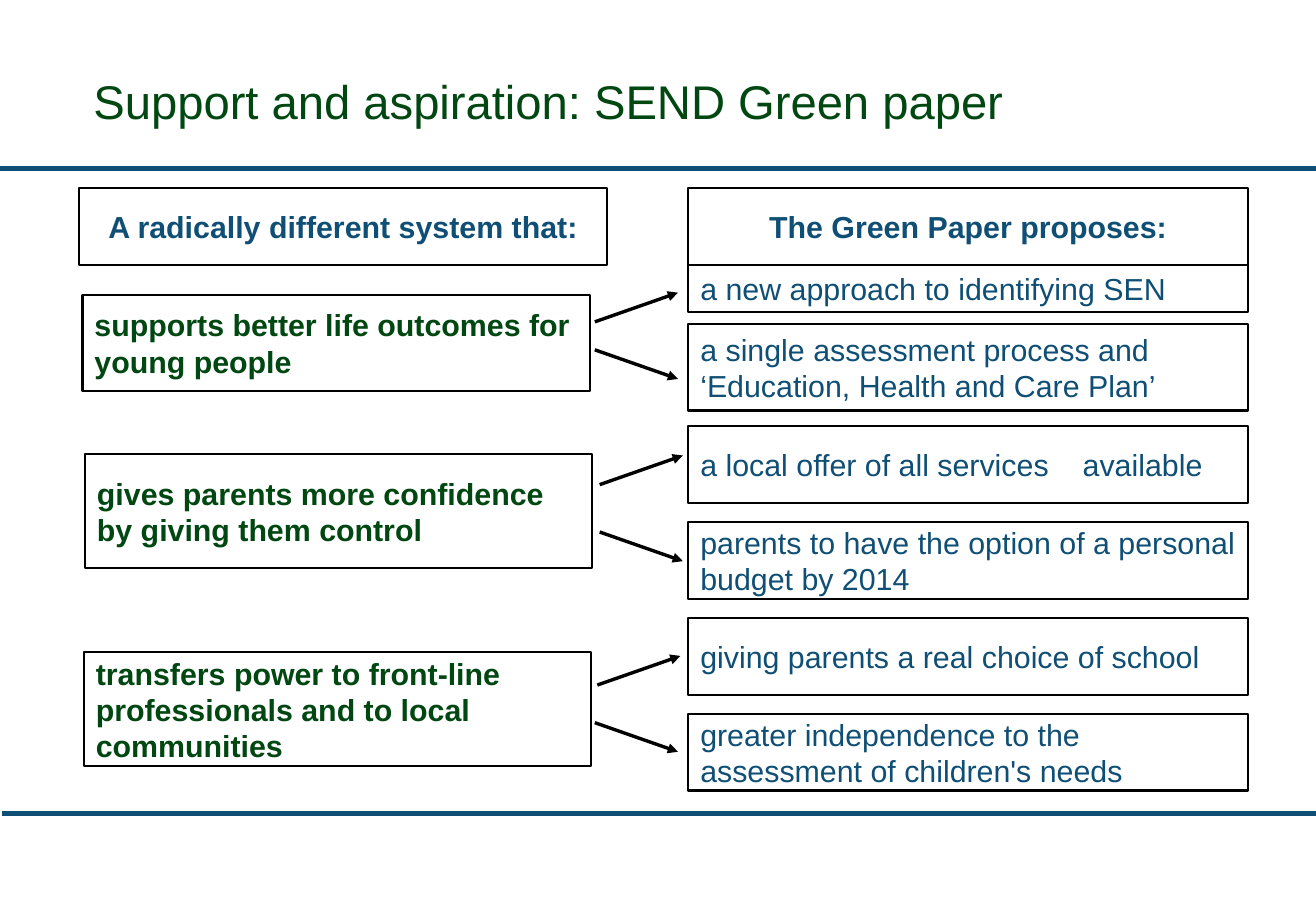
from lxml.etree import SubElement
from pptx import Presentation
from pptx.dml.color import RGBColor
from pptx.enum.shapes import MSO_CONNECTOR as Connector, MSO_SHAPE as Preset
from pptx.enum.text import MSO_ANCHOR as Anchor, MSO_AUTO_SIZE as AutoSize, PP_ALIGN as Align
from pptx.oxml.ns import qn
from pptx.util import Inches, Pt

WIDTH, HEIGHT = Inches(10.84), Inches(7.5)
COLORS = {"green": "004712", "blue": "104F75", "black": "000000"}
TITLE_FORMAT = {"name": "Arial", "size": Pt(28), "bold": False}
BODY_FORMAT = {"name": "Arial", "size": Pt(18), "bold": False}
STRONG_FORMAT = BODY_FORMAT | {"bold": True}

AIM_WIDTH, PROPOSAL_LEFT, PROPOSAL_WIDTH = 38.56, 52.31, 42.53
HEADING_TOP, ROW_HEIGHT, ROW_PITCH = 20.67, 8.4, 10.53
LOWER_TOP = 46.8
ARROW_WIDTH, ARROW_RISE = 6.32, 3.2

HEADINGS = [
    ("A radically different system that:", 6, 40.13),
    ("The Green Paper proposes:", PROPOSAL_LEFT, PROPOSAL_WIDTH),
]
AIMS = [
    ("supports better life outcomes for young people", 6.27, 32.4, 10.53),
    ("gives parents more confidence by giving them control", 6.46, 49.87, 12.53),
    ("transfers power to front-line professionals and to local communities", 6.37, 71.6, 12.53),
]
UPPER_PROPOSALS = [
    ("a new approach to identifying SEN", 29.07, 5.2),
    ("a single assessment process and ‘Education, Health and Care Plan’", 35.6, 9.47),
]
LOWER_PROPOSALS = [
    "a local offer of all services\tavailable",
    "parents to have the option of a personal budget by 2014",
    "giving parents a real choice of school",
    "greater independence to the assessment of children's needs",
]
ARROW_PAIRS = [
    ((45.2, 35.33), (45.2, 38.4)),
    ((45.57, 53.2), (45.57, 58.4)),
    ((45.39, 75.2), (45.2, 79.33)),
]


def across(columns):
    """Turn hundredths of the slide width into a length."""
    return round(WIDTH * columns / 100)


def down(rows):
    """Turn hundredths of the slide height into a length."""
    return round(HEIGHT * rows / 100)


def color(name):
    """Look up a named colour."""
    return RGBColor.from_string(COLORS[name])


def set_text(shape, text, text_color, text_format, align=Align.LEFT):
    """Write one formatted paragraph, centred vertically."""
    frame = shape.text_frame
    frame.auto_size = AutoSize.NONE
    frame.vertical_anchor = Anchor.MIDDLE
    frame.word_wrap = True
    paragraph = frame.paragraphs[0]
    paragraph.alignment = align
    if "\t" in text:
        tabs = SubElement(paragraph._p.get_or_add_pPr(), qn("a:tabLst"))
        SubElement(tabs, qn("a:tab"), pos=str(Inches(3.15)), algn="l")
    run = paragraph.add_run()
    run.text = text
    for name, value in text_format.items():
        setattr(run.font, name, value)
    run.font.color.rgb = color(text_color)


def add_title(slide, text):
    """Place and format the title placeholder."""
    title = slide.shapes.title
    title.left, title.top = across(7.1), 0
    title.width, title.height = across(88.28), down(22.13)
    set_text(title, text, "green", TITLE_FORMAT)
    for side in ("left", "right", "top", "bottom"):
        setattr(title.text_frame, f"margin_{side}", 0)


def add_box(slide, text, place, text_color, text_format, align=Align.LEFT):
    """Add an outlined box with text."""
    left, top, width, height = place
    shape = slide.shapes.add_shape(
        Preset.RECTANGLE, across(left), down(top), across(width), down(height))
    shape.shadow.inherit = False
    shape.fill.background()
    shape.line.color.rgb = color("black")
    shape.line.width = Pt(1.25)
    set_text(shape, text, text_color, text_format, align)
    return shape


def add_line(slide, start, end, line_color, points):
    """Add a straight line without a shadow."""
    line = slide.shapes.add_connector(
        Connector.STRAIGHT, across(start[0]), down(start[1]), across(end[0]), down(end[1]))
    line.line.color.rgb = color(line_color)
    line.line.width = Pt(points)
    SubElement(line._element.spPr, qn("a:effectLst"))
    return line


def add_arrow(slide, start, rise):
    """Add an arrow from an aim towards a proposal."""
    end = start[0] + ARROW_WIDTH, start[1] + rise
    arrow = add_line(slide, start, end, "black", 2)
    SubElement(arrow.line._get_or_add_ln(), qn("a:tailEnd"), type="triangle")


def main():
    """Build and save the slide."""
    presentation = Presentation()
    presentation.slide_width, presentation.slide_height = WIDTH, HEIGHT
    slide = presentation.slides.add_slide(presentation.slide_layouts.get_by_name("Title Only"))
    for left, top in ((0, 18.53), (0.18, 89.33)):
        add_line(slide, (left, top), (100, top), "blue", 3)
    add_title(slide, "Support and aspiration: SEND Green paper")

    for text, left, width in HEADINGS:
        place = left, HEADING_TOP, width, ROW_HEIGHT
        heading = add_box(slide, text, place, "blue", STRONG_FORMAT, Align.CENTER)
        heading.text_frame.word_wrap = False
    for text, left, top, height in AIMS:
        add_box(slide, text, (left, top, AIM_WIDTH, height), "green", STRONG_FORMAT)

    lower = [(text, LOWER_TOP + row * ROW_PITCH, ROW_HEIGHT)
             for row, text in enumerate(LOWER_PROPOSALS)]
    for text, top, height in UPPER_PROPOSALS + lower:
        place = PROPOSAL_LEFT, top, PROPOSAL_WIDTH, height
        add_box(slide, text, place, "blue", BODY_FORMAT)

    for upper_start, lower_start in ARROW_PAIRS:
        add_arrow(slide, upper_start, -ARROW_RISE)
        add_arrow(slide, lower_start, ARROW_RISE)
    presentation.save("out.pptx")


if __name__ == "__main__":
    main()
